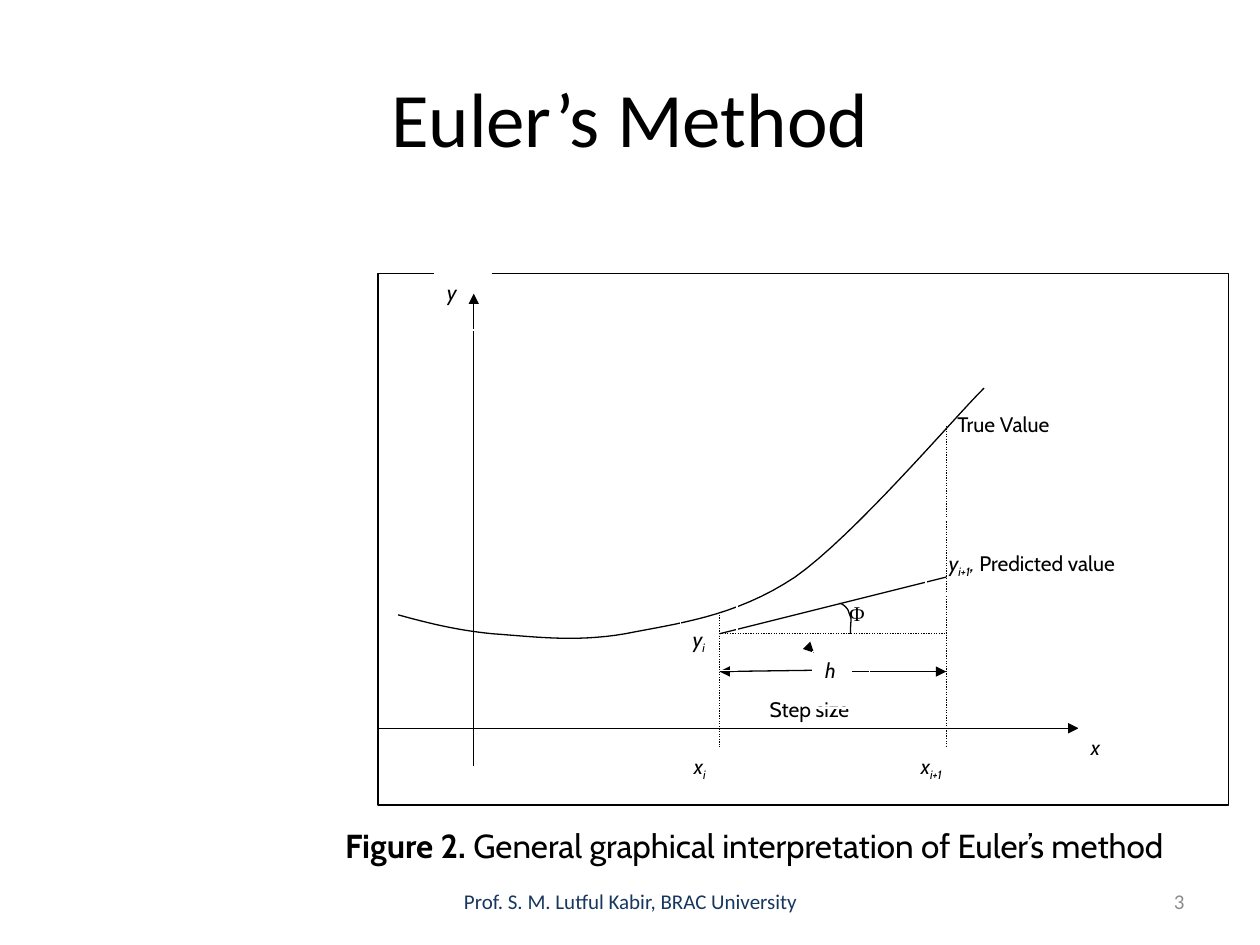
from lxml import etree
from pptx import Presentation
from pptx.dml.color import RGBColor
from pptx.enum.dml import MSO_LINE
from pptx.enum.shapes import MSO_CONNECTOR, MSO_SHAPE
from pptx.enum.text import MSO_ANCHOR, PP_ALIGN
from pptx.oxml.ns import qn
from pptx.util import Inches, Pt

BLACK = RGBColor(0, 0, 0)
WHITE = RGBColor(255, 255, 255)
NAVY = RGBColor(0x17, 0x37, 0x5E)
GREY = RGBColor(0x8C, 0x8C, 0x8C)
LEFT, CENTER, RIGHT = PP_ALIGN.LEFT, PP_ALIGN.CENTER, PP_ALIGN.RIGHT
TOP, MIDDLE = MSO_ANCHOR.TOP, MSO_ANCHOR.MIDDLE
DOTTED = MSO_LINE.ROUND_DOT
RECT, STRAIGHT = MSO_SHAPE.RECTANGLE, MSO_CONNECTOR.STRAIGHT
BODY, HEAD = "Cabin", "Calibri"
LINE_WIDTH = Pt(0.75)


def write(s, runs, size=12, font=BODY, color=BLACK, align=LEFT, anchor=TOP):
    """Fill s with runs of (text, style), style letters: b bold, i italic, s subscript."""
    tf = s.text_frame
    tf.word_wrap = True
    tf.vertical_anchor = anchor
    p = tf.paragraphs[0]
    p.alignment = align
    for text, style in runs:
        r = p.add_run()
        r.text = text
        r.font.name, r.font.size = font, Pt(size)
        r.font.color.rgb = color
        r.font.bold, r.font.italic = "b" in style, "i" in style
        if "s" in style:
            r._r.get_or_add_rPr().set("baseline", "-25000")


def add_text(slide, box, runs, **style):
    sp = slide.shapes.add_textbox(*map(Inches, box))
    write(sp, runs, **style)


def add_box(slide, box, color):
    sp = slide.shapes.add_shape(RECT, *map(Inches, box))
    sp.shadow.inherit = False
    sp.fill.background()
    sp.line.color.rgb = color
    sp.line.width = LINE_WIDTH
    return sp


def bezier(points, steps=16):
    """Sample a chain of cubic segments: a start point, then three points each."""
    result = [points[0]]
    for k in range(0, len(points) - 1, 3):
        a, b, c, d = points[k:k + 4]
        for n in range(1, steps + 1):
            t = n / steps
            u = 1 - t
            weights = (u ** 3, 3 * u * u * t, 3 * u * t * t, t ** 3)
            result.append(tuple(
                sum(w * q[axis] for w, q in zip(weights, (a, b, c, d)))
                for axis in (0, 1)))
    return result


def add_figure(slide, x0, y0):
    """Draw the Euler step diagram; (x0, y0) is the origin of its 0.15 inch grid."""
    y_axis, xi, xi1 = 0.75, 2.7, 4.5
    yi, predicted, step, x_axis = 2.85, 2.4, 3.15, 3.6

    def line(start, end, arrow=False, dash=None):
        s = slide.shapes.add_connector(
            STRAIGHT, Inches(x0 + start[0]), Inches(y0 + start[1]),
            Inches(x0 + end[0]), Inches(y0 + end[1]))
        etree.SubElement(s._element.spPr, qn("a:effectLst"))
        s.line.color.rgb = BLACK
        s.line.width = LINE_WIDTH
        if dash:
            s.line.dash_style = dash
        if arrow:
            ln = s.line._get_or_add_ln()
            etree.SubElement(ln, qn("a:tailEnd"), type="triangle")

    def curve(points):
        pts = [(Inches(x0 + x), Inches(y0 + y)) for x, y in bezier(points)]
        builder = slide.shapes.build_freeform(*pts[0])
        builder.add_line_segments(pts[1:], close=False)
        s = builder.convert_to_shape()
        s.shadow.inherit = False
        s.fill.background()
        s.line.color.rgb = BLACK
        s.line.width = LINE_WIDTH

    def label(x, y, w, h, *runs, inset=(0.1, 0.05), font=BODY):
        s = add_box(slide, (x0 + x, y0 + y, w, h), WHITE)
        tf = s.text_frame
        tf.margin_left, tf.margin_top = map(Inches, inset)
        write(s, runs, font=font)

    add_box(slide, (x0 - 0.01, y0 - 0.01, 6.75, 4.22), BLACK)
    line((y_axis, 3.9), (y_axis, 0.15), arrow=True)
    curve([(0.15, 2.7), (0.37, 2.76), (0.6, 2.82), (0.9, 2.85),
           (1.2, 2.87), (1.55, 2.92), (1.95, 2.85),
           (2.35, 2.77), (2.82, 2.72), (3.3, 2.4),
           (3.77, 2.07), (4.55, 1.15), (4.8, 0.9)])
    line((xi, 2.7), (xi, 3.75), dash=DOTTED)
    line((xi1, 1.2), (xi1, 3.75), dash=DOTTED)
    curve([(3.65, 2.61), (3.66, 2.61), (3.67, 2.61), (3.68, 2.62),
           (3.7, 2.63), (3.72, 2.66), (3.72, 2.66),
           (3.76, 2.77), (3.74, 2.7), (3.74, 2.85)])
    label(3.59, 2.54, 0.45, 0.45, ("Φ", ""),
          inset=(0.14, 0.05), font="Times New Roman")
    line((xi, yi), (xi1, predicted))
    label(3, 3.3, 1.05, 0.45, ("Step size", ""))
    line((3.44, 2.99), (3.45, 3), arrow=True)
    line((3.44, step - 0.01), (xi, step), arrow=True)
    line((3.75, step), (xi1, step), arrow=True)
    label(3.44, 2.99, 0.45, 0.45, ("h", "i"))
    line((xi, yi), (xi1, yi), dash=DOTTED)
    add_text(slide, (x0 + 4.49, y0 + 1.04, 1.19, 0.46), [("True Value", "")])
    label(4.34, 1.94, 2.25, 0.6, ("y", "i"), ("i+1", "is"), (",", "i"),
          (" Predicted value", ""), inset=(0.18, 0.25))
    label(2.39, 2.54, 0.45, 0.6, ("y", "i"), ("i", "is"), inset=(0.1, 0.25))
    line((0, x_axis), (5.55, x_axis), arrow=True)
    label(5.55, x_axis, 0.45, 0.45, ("x", "i"))
    label(0.44, -0.01, 0.45, 0.45, ("y", "i"))
    label(2.4, 3.75, 0.6, 0.45, ("x", "i"), ("i", "is"))
    label(4.2, 3.75, 0.6, 0.45, ("x", "i"), ("i+1", "is"))


def add_footer(slide, top):
    style = dict(font=HEAD, anchor=MIDDLE)
    add_text(slide, (3.42, top, 3.17, 0.4),
             [("Prof. S. M. Lutful Kabir, BRAC University", "")],
             color=NAVY, align=CENTER, **style)
    add_text(slide, (7.17, top, 2.33, 0.4), [("3", "")],
             color=GREY, align=RIGHT, **style)


def main():
    prs = Presentation()
    prs.slide_width, prs.slide_height = Inches(10), Inches(7.5)
    slide = prs.slides.add_slide(prs.slide_layouts[6])
    add_text(slide, (0.5, 0.3, 9, 1.25), [("Euler’s Method", "")],
             size=44, font=HEAD, align=CENTER, anchor=MIDDLE)
    add_footer(slide, 6.95)
    add_figure(slide, 3.01, 2.18)
    add_text(slide, (2.64, 6.5, 7.36, 0.42),
             [("Figure 2.", "b"),
              (" General graphical interpretation of Euler’s method", "")],
             size=19, anchor=MIDDLE)
    prs.save("out.pptx")


if __name__ == "__main__":
    main()
